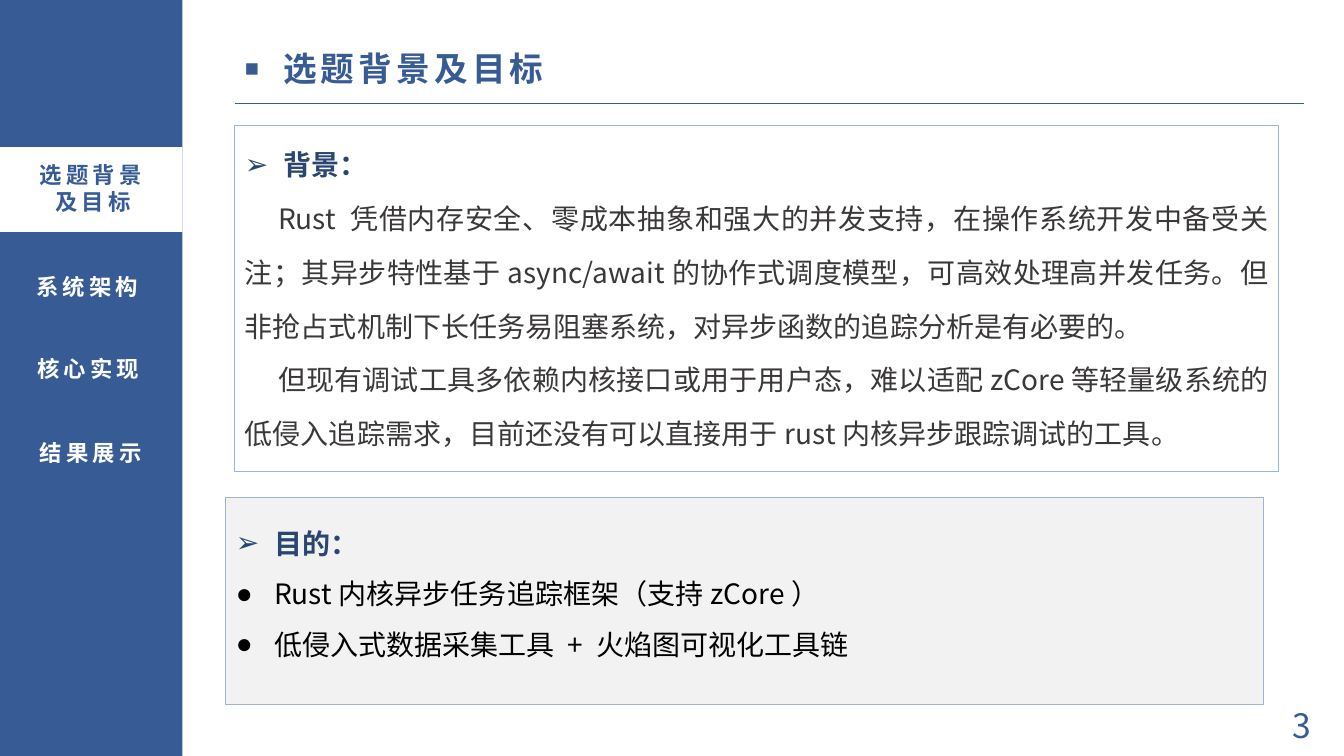
from lxml import etree
from pptx import Presentation
from pptx.dml.color import RGBColor
from pptx.enum.shapes import MSO_CONNECTOR, MSO_SHAPE
from pptx.enum.text import MSO_ANCHOR, MSO_AUTO_SIZE, PP_ALIGN
from pptx.oxml.ns import qn
from pptx.util import Pt

PX = 9144  # 100 px to the inch
RECT = MSO_SHAPE.RECTANGLE
LEFT, CENTER, JUST = PP_ALIGN.LEFT, PP_ALIGN.CENTER, PP_ALIGN.JUSTIFY
TOP, MIDDLE = MSO_ANCHOR.TOP, MSO_ANCHOR.MIDDLE
GROW = MSO_AUTO_SIZE.SHAPE_TO_FIT_TEXT
BLUE = RGBColor(0x37, 0x5C, 0x95)
NAVY = RGBColor(0x29, 0x45, 0x70)
EDGE = RGBColor(0x9A, 0xB3, 0xDA)
GRAY = RGBColor(0xF2, 0xF2, 0xF2)
DARK = RGBColor(0x3B, 0x38, 0x38)
BLACK = RGBColor(0, 0, 0)
WHITE = RGBColor(0xFF, 0xFF, 0xFF)
SANS = "Noto Sans CJK SC"
HANG = 38

deck = Presentation()
deck.slide_width, deck.slide_height = 1333 * PX, 750 * PX
slide = deck.slides.add_slide(deck.slide_layouts[6])
shapes = slide.shapes


def add_rect(x, y, w, h, fill, edge=None):
    box = shapes.add_shape(RECT, x * PX, y * PX, w * PX, h * PX)
    box.shadow.inherit = False
    box.fill.solid()
    box.fill.fore_color.rgb = fill
    if edge is None:
        box.line.fill.background()
    else:
        box.line.color.rgb = edge
        box.line.width = Pt(0.75)
    return box


def style(para, size, color, face=SANS, bold=False, align=LEFT, lines=None,
          track=0, bullet=None, scale=100, first=0):
    """Format a paragraph; a bullet hangs, otherwise first is the indent."""
    props = para._p.get_or_add_pPr()
    if bullet:
        props.set("marL", str(HANG * PX))
        first = -HANG
        etree.SubElement(props, qn("a:buSzPct"), val=str(scale * 1000))
        etree.SubElement(props, qn("a:buFont"), typeface="Arial")
        etree.SubElement(props, qn("a:buChar"), char=bullet)
    props.set("indent", str(first * PX))
    para.alignment = align
    if lines:
        para.line_spacing = lines
    for run in para.runs:
        font = run.font
        font.size, font.bold, font.name = Pt(size), bold, face
        font.color.rgb = color
        mark = font._element
        if track:
            mark.set("spc", str(track * 100))
        mark.find(qn("a:latin")).addnext(
            mark.makeelement(qn("a:ea"), {"typeface": SANS}))


# Sidebar, active tab and title rule
add_rect(0, 0, 181, 750, BLUE)
add_rect(0, 146, 181, 84, WHITE)
rule = shapes.add_connector(MSO_CONNECTOR.STRAIGHT,
                            233 * PX, 103 * PX, 1293 * PX, 103 * PX)
rule.line.color.rgb = BLUE
rule.line.width = Pt(0.5)
etree.SubElement(rule._element.spPr, qn("a:effectLst"))

# Menu, title and page number
nav = dict(size=16, color=WHITE, face="Arial", bold=True, align=CENTER, track=3)
labels = [
    ("选题背景及目标", 22, 155, 140, 64, GROW, {**nav, "color": BLUE}),
    ("系统架构", 6, 266, 161, 37, GROW, nav),
    ("核心实现", 1, 347, 173, 37, GROW, nav),
    ("结果展示", 13, 428, 154, 40, GROW, {**nav, "lines": 1.1}),
    ("选题背景及目标", 233, 43, 991, 50, GROW,
     dict(size=24, color=BLUE, face="Arial", bold=True, track=3,
          bullet="■", scale=70)),
    ("3", 1253, 699, 76, 40, MSO_AUTO_SIZE.NONE,
     dict(size=24, color=BLUE, align=CENTER)),
]
for text, x, y, w, h, fit, look in labels:
    box = shapes.add_textbox(x * PX, y * PX, w * PX, h * PX)
    frame = box.text_frame
    frame.word_wrap = True
    frame.auto_size = fit
    frame.vertical_anchor = TOP if fit == GROW else MIDDLE
    frame.text = text
    style(frame.paragraphs[0], **look)

# Background and goal panels
head = dict(color=NAVY, bold=True, bullet="➢")
body = dict(color=DARK, lines=1.6, first=33)
item = dict(color=BLACK, lines=1.5, bullet="●")
panels = [
    (233, 125, 1035, 343, WHITE, [
        ("背景：", {**head, "lines": 1.5}),
        ("Rust 凭借内存安全、零成本抽象和强大的并发支持，在操作系统开发中备受关注；"
         "其异步特性基于async/await的协作式调度模型，可高效处理高并发任务。"
         "但非抢占式机制下长任务易阻塞系统，对异步函数的追踪分析是有必要的。", body),
        ("但现有调试工具多依赖内核接口或用于用户态，难以适配zCore等轻量级系统的"
         "低侵入追踪需求，目前还没有可以直接用于rust内核异步跟踪调试的工具。", body),
    ]),
    (224, 494, 1029, 205, GRAY, [
        ("目的：", {**head, "lines": 1.7}),
        ("Rust内核异步任务追踪框架（支持zCore）", item),
        ("低侵入式数据采集工具 + 火焰图可视化工具链", item),
    ]),
]
for x, y, w, h, fill, rows in panels:
    frame = add_rect(x, y, w, h, fill, EDGE).text_frame
    frame.word_wrap = True
    frame.vertical_anchor = TOP
    frame.text = "\n".join(text for text, look in rows)
    for para, (text, look) in zip(frame.paragraphs, rows):
        style(para, size=20, align=JUST, **look)

deck.save("out.pptx")
